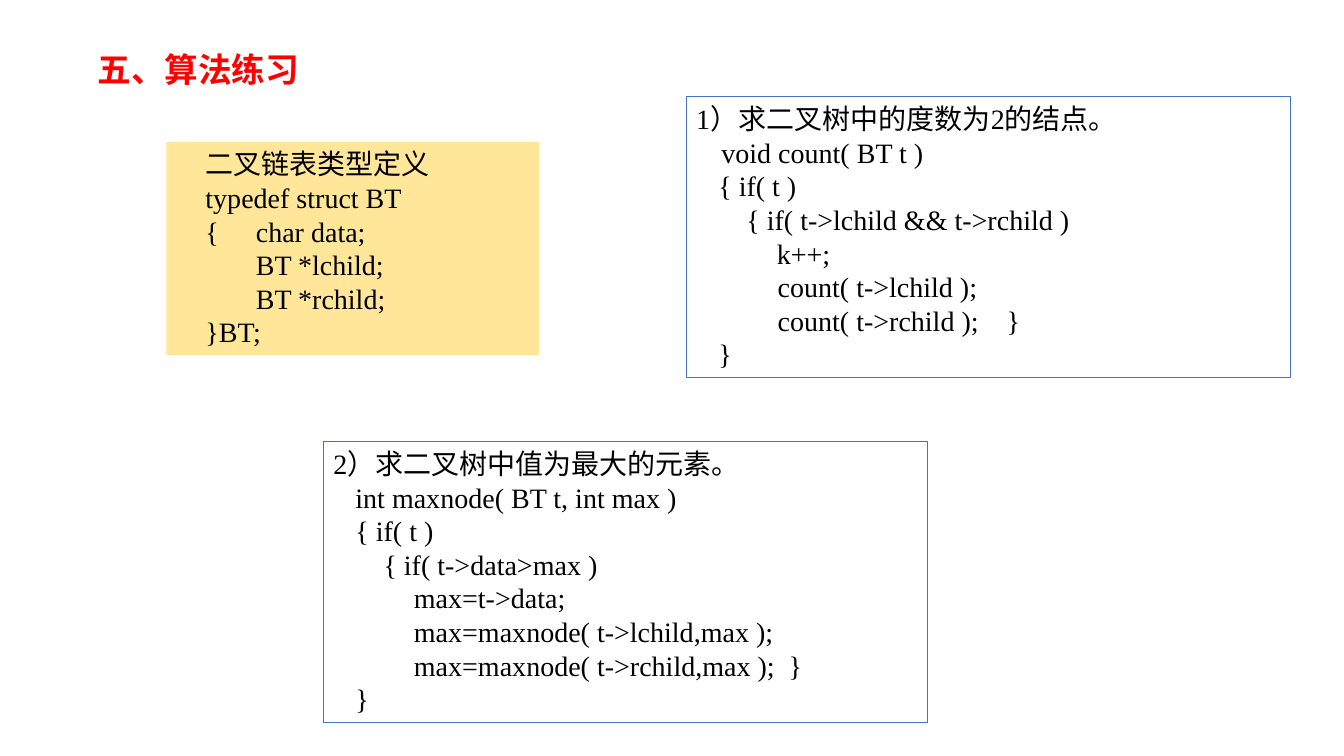
from dataclasses import dataclass
from typing import Optional

from lxml.etree import SubElement
from pptx import Presentation
from pptx.dml.color import RGBColor
from pptx.enum.shapes import MSO_SHAPE
from pptx.enum.text import MSO_ANCHOR, MSO_AUTO_SIZE, PP_ALIGN
from pptx.oxml.ns import qn
from pptx.util import Inches, Pt

RED = RGBColor(0xFF, 0x00, 0x00)
BLACK = RGBColor(0x00, 0x00, 0x00)
BLUE = RGBColor(0x44, 0x72, 0xC4)
YELLOW = RGBColor(0xFF, 0xE6, 0x99)

CHINESE_FONT = "Noto Sans CJK SC"
CODE_FONT = "Times New Roman"

# The slide is a grid of 160 columns by 90 rows
COLUMNS, ROWS = 160, 90
WIDTH, HEIGHT = Inches(13.333), Inches(7.5)

# Code indents in inches
STRUCT, OUTER, INNER, BODY, CALL = 0.29, 0.22, 0.36, 0.8, 0.67


@dataclass(frozen=True)
class Area:
    column: float
    row: float
    columns: float
    rows: float


@dataclass(frozen=True)
class CodeLine:
    text: str
    indent: float = 0


@dataclass(frozen=True)
class CodeBox:
    area: Area
    lines: list[CodeLine]
    fill: Optional[RGBColor] = None
    border: Optional[RGBColor] = None


TITLE_AREA = Area(10.4, 5.2, 26.6, 6)

STRUCT_LINES = [
    "二叉链表类型定义",
    "typedef struct BT",
    "{\tchar data;",
    "\tBT *lchild;",
    "\tBT *rchild;",
    "}BT;",
]

CODE_BOXES = [
    CodeBox(
        Area(19.8, 16.9, 44.4, 25.4),
        [CodeLine(text, STRUCT) for text in STRUCT_LINES],
        fill=YELLOW,
    ),
    CodeBox(
        Area(81.7, 11.5, 71.9, 33.5),
        [
            CodeLine("1）求二叉树中的度数为2的结点。"),
            CodeLine("void count( BT t )", 0.25),
            CodeLine("{ if( t )", OUTER),
            CodeLine("  { if( t->lchild && t->rchild )", INNER),
            CodeLine("k++;", BODY),
            CodeLine("  count( t->lchild );", CALL),
            CodeLine("  count( t->rchild );    }", CALL),
            CodeLine("}", OUTER),
        ],
        border=BLUE,
    ),
    CodeBox(
        Area(38.5, 52.55, 71.9, 33.5),
        [
            CodeLine("2）求二叉树中值为最大的元素。"),
            CodeLine("int maxnode( BT t, int max )", OUTER),
            CodeLine("{ if( t )", OUTER),
            CodeLine("  { if( t->data>max )", INNER),
            CodeLine("max=t->data;", BODY),
            CodeLine("max=maxnode( t->lchild,max );", BODY),
            CodeLine("max=maxnode( t->rchild,max );  }", BODY),
            CodeLine("}", OUTER),
        ],
        border=BLUE,
    ),
]


def bounds(area: Area) -> tuple[int, int, int, int]:
    return (
        int(WIDTH * area.column / COLUMNS),
        int(HEIGHT * area.row / ROWS),
        int(WIDTH * area.columns / COLUMNS),
        int(HEIGHT * area.rows / ROWS),
    )


def format_runs(paragraph, font_name: str, size: int, color: RGBColor, bold: bool = False) -> None:
    for run in paragraph.runs:
        run.font.name = font_name
        run.font.size = Pt(size)
        run.font.bold = bold
        run.font.color.rgb = color
        SubElement(run.font._element, qn("a:ea"), typeface=CHINESE_FONT)


def add_title(slide, text: str) -> None:
    title = slide.shapes.title
    title.left, title.top, title.width, title.height = bounds(TITLE_AREA)
    text_frame = title.text_frame
    text_frame.text = text
    text_frame.word_wrap = False
    text_frame.auto_size = MSO_AUTO_SIZE.SHAPE_TO_FIT_TEXT
    text_frame.vertical_anchor = MSO_ANCHOR.TOP
    paragraph = text_frame.paragraphs[0]
    paragraph.alignment = PP_ALIGN.LEFT
    paragraph.line_spacing = 1.0
    paragraph.space_before = Pt(0)
    format_runs(paragraph, CHINESE_FONT, 24, RED, bold=True)


def add_code_box(slide, box: CodeBox) -> None:
    shape = slide.shapes.add_shape(MSO_SHAPE.RECTANGLE, *bounds(box.area))
    shape.shadow.inherit = False
    if box.fill is None:
        shape.fill.background()
    else:
        shape.fill.solid()
        shape.fill.fore_color.rgb = box.fill
    if box.border is None:
        shape.line.fill.background()
    else:
        shape.line.color.rgb = box.border
        shape.line.width = Pt(0.75)

    text_frame = shape.text_frame
    text_frame.word_wrap = True
    text_frame.auto_size = MSO_AUTO_SIZE.SHAPE_TO_FIT_TEXT
    text_frame.vertical_anchor = MSO_ANCHOR.TOP
    text_frame.text = "\n".join(line.text for line in box.lines)
    for paragraph, line in zip(text_frame.paragraphs, box.lines):
        paragraph.alignment = PP_ALIGN.JUSTIFY
        paragraph._p.get_or_add_pPr().set("marL", str(Inches(line.indent)))
        format_runs(paragraph, CODE_FONT, 20, BLACK)


def main() -> None:
    presentation = Presentation()
    presentation.slide_width, presentation.slide_height = WIDTH, HEIGHT
    title_only = presentation.slide_layouts.get_by_name("Title Only")
    slide = presentation.slides.add_slide(title_only)

    # Heading
    add_title(slide, "五、算法练习")

    # Type definition and the two exercises
    for box in CODE_BOXES:
        add_code_box(slide, box)

    presentation.save("out.pptx")


if __name__ == "__main__":
    main()
